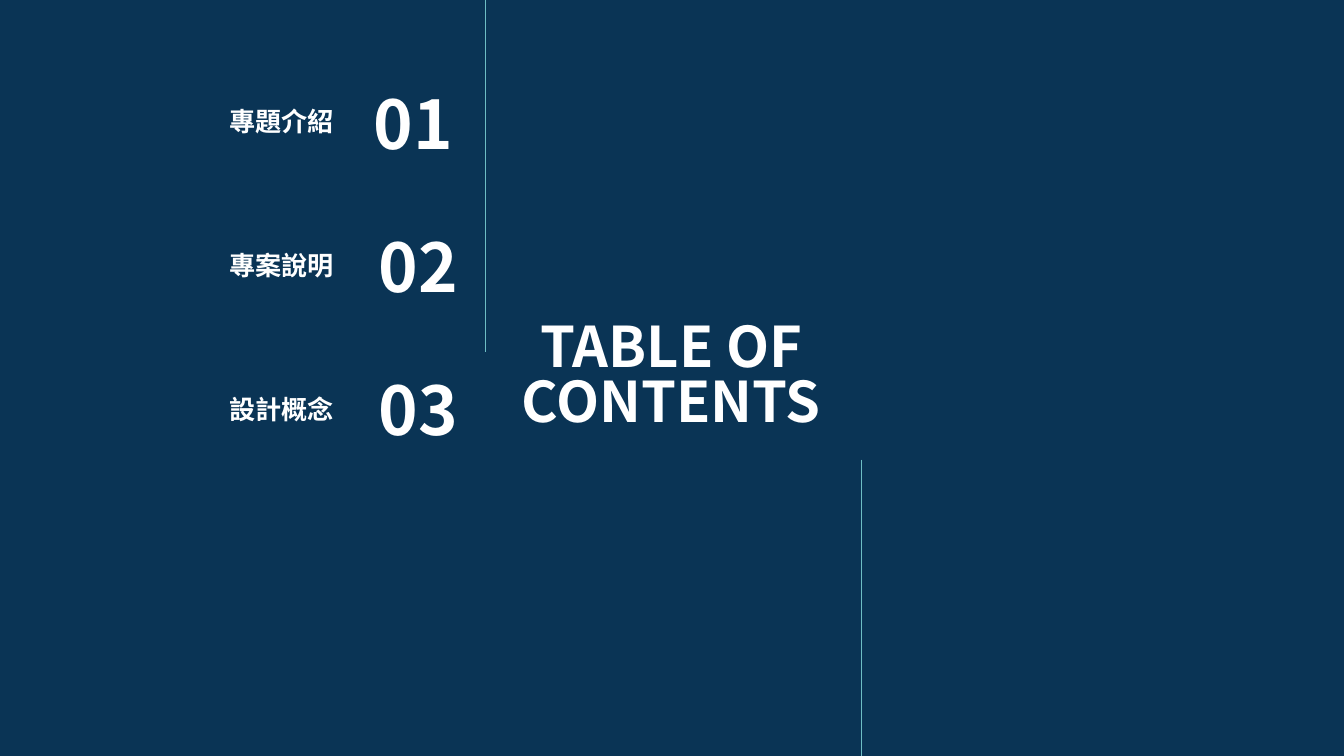
"""Build a table of contents slide with three numbered sections."""
from dataclasses import dataclass

from lxml import etree
from pptx import Presentation
from pptx.dml.color import RGBColor
from pptx.enum.shapes import MSO_CONNECTOR
from pptx.enum.text import MSO_ANCHOR, MSO_AUTO_SIZE, PP_ALIGN
from pptx.oxml.ns import qn
from pptx.shapes.base import BaseShape
from pptx.slide import Slide
from pptx.util import Cm, Pt

STRAIGHT = MSO_CONNECTOR.STRAIGHT
MIDDLE, BOTTOM = MSO_ANCHOR.MIDDLE, MSO_ANCHOR.BOTTOM
CENTER, RIGHT = PP_ALIGN.CENTER, PP_ALIGN.RIGHT
NO_AUTOFIT = MSO_AUTO_SIZE.NONE

COLORS = {"background": "0A3455", "text": "FFFFFF", "rule": "6EBDC4"}
FONT = "Noto Sans CJK SC"
TITLE_ONLY = 5
SLIDE_WIDTH, SLIDE_HEIGHT = 25.4, 14.29
INSET = 0.25
LABEL_LEFT, LABEL_TOP, LABEL_WIDTH, LABEL_PITCH = 1.07, 1.24, 5.49, 2.72
NUMBER_TOP, NUMBER_WIDTH, NUMBER_PITCH = 1.52, 3.07, 2.7
ROW_HEIGHT = 1.6


@dataclass(frozen=True)
class Box:
    left: float
    top: float
    width: float
    height: float


@dataclass(frozen=True)
class TextStyle:
    size: float
    alignment: PP_ALIGN
    anchor: MSO_ANCHOR
    line_spacing: float = 1.0


@dataclass(frozen=True)
class Section:
    number: str
    label: str
    number_left: float


@dataclass(frozen=True)
class VerticalRule:
    left: float
    top: float
    bottom: float


TITLE_STYLE = TextStyle(30, CENTER, MIDDLE, 0.83)
LABEL_STYLE = TextStyle(14, RIGHT, BOTTOM)
NUMBER_STYLE = TextStyle(36, RIGHT, MIDDLE)
TITLE_BOX = Box(9.4, 5.84, 6.58, 2.62)
SECTIONS = [
    Section("01", "專題介紹", 5.74),
    Section("02", "專案說明", 5.84),
    Section("03", "設計概念", 5.84),
]
RULES = [VerticalRule(9.17, 0, 6.65), VerticalRule(16.28, 8.69, SLIDE_HEIGHT)]


def color(name: str) -> RGBColor:
    return RGBColor.from_string(COLORS[name])


def write_text(shape: BaseShape, text: str, style: TextStyle) -> None:
    frame = shape.text_frame
    frame.word_wrap = True
    frame.auto_size = NO_AUTOFIT
    frame.vertical_anchor = style.anchor
    frame.margin_left = frame.margin_right = Cm(INSET)
    frame.margin_top = frame.margin_bottom = Cm(INSET)
    paragraph = frame.paragraphs[0]
    paragraph.alignment = style.alignment
    paragraph.line_spacing = style.line_spacing
    run = paragraph.add_run()
    run.text = text
    run.font.size = Pt(style.size)
    run.font.bold = True
    run.font.color.rgb = color("text")
    run.font.name = FONT
    east_asian = etree.SubElement(run.font._element, qn("a:ea"))
    east_asian.set("typeface", FONT)


def place_title(slide: Slide, text: str, box: Box) -> None:
    title = slide.shapes.title
    title.left, title.top = Cm(box.left), Cm(box.top)
    title.width, title.height = Cm(box.width), Cm(box.height)
    write_text(title, text, TITLE_STYLE)


def add_text(slide: Slide, text: str, box: Box, style: TextStyle) -> None:
    shape = slide.shapes.add_textbox(
        Cm(box.left), Cm(box.top), Cm(box.width), Cm(box.height)
    )
    write_text(shape, text, style)


def add_section(slide: Slide, section: Section, row: int) -> None:
    label_top = LABEL_TOP + row * LABEL_PITCH
    number_top = NUMBER_TOP + row * NUMBER_PITCH
    label_box = Box(LABEL_LEFT, label_top, LABEL_WIDTH, ROW_HEIGHT)
    number_box = Box(section.number_left, number_top, NUMBER_WIDTH, ROW_HEIGHT)
    add_text(slide, section.label, label_box, LABEL_STYLE)
    add_text(slide, section.number, number_box, NUMBER_STYLE)


def add_rule(slide: Slide, rule: VerticalRule) -> None:
    connector = slide.shapes.add_connector(
        STRAIGHT, Cm(rule.left), Cm(rule.top), Cm(rule.left), Cm(rule.bottom)
    )
    connector.line.color.rgb = color("rule")
    connector.line.width = Pt(0.75)
    etree.SubElement(connector._element.spPr, qn("a:effectLst"))


def main() -> None:
    presentation = Presentation()
    presentation.slide_width = Cm(SLIDE_WIDTH)
    presentation.slide_height = Cm(SLIDE_HEIGHT)
    slide = presentation.slides.add_slide(presentation.slide_layouts[TITLE_ONLY])
    slide.background.fill.solid()
    slide.background.fill.fore_color.rgb = color("background")
    place_title(slide, "TABLE OF CONTENTS", TITLE_BOX)
    for row, section in enumerate(SECTIONS):
        add_section(slide, section, row)
    for rule in RULES:
        add_rule(slide, rule)
    presentation.save("out.pptx")


if __name__ == "__main__":
    main()
